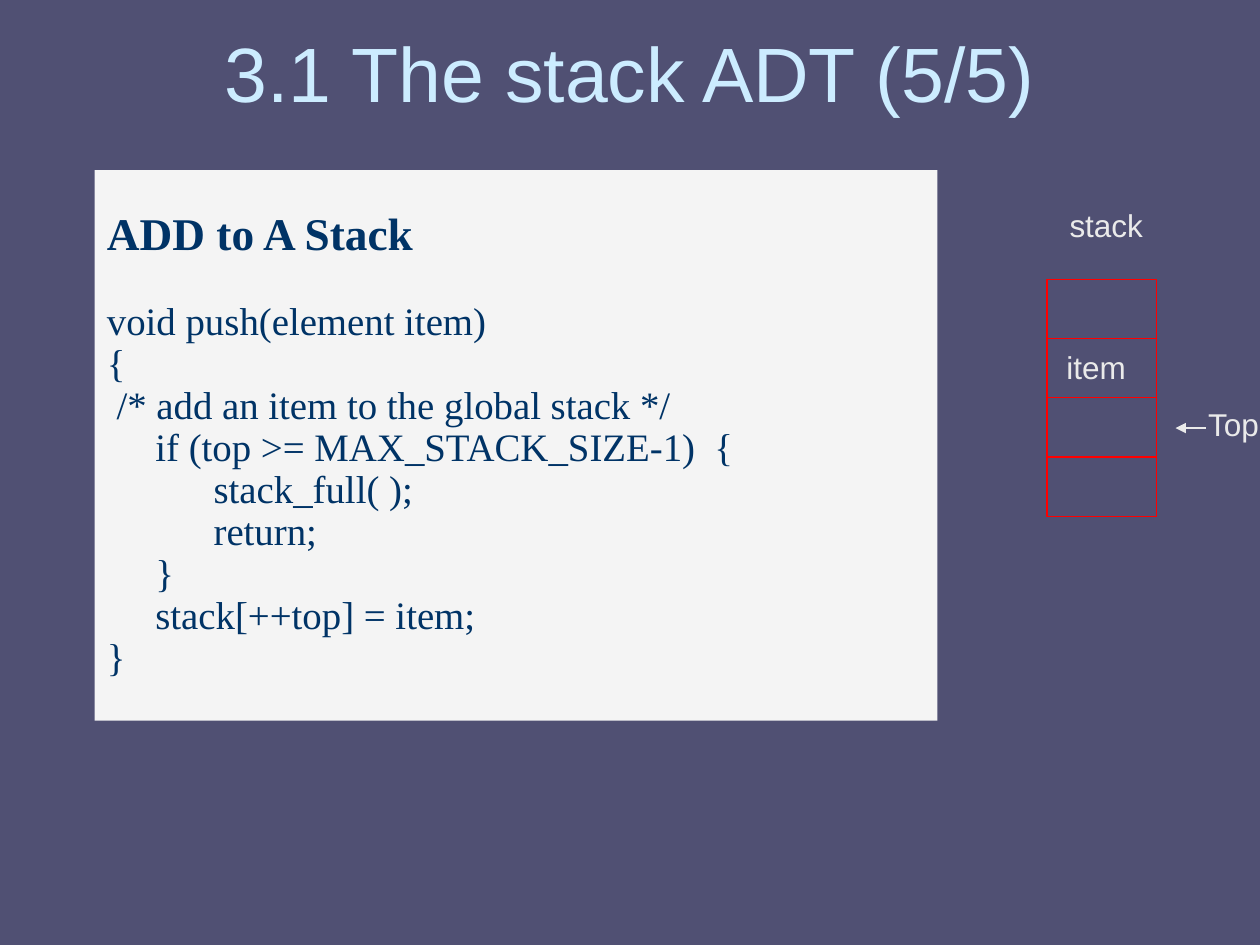
from lxml import etree
from pptx import Presentation, util as u
from pptx.dml.color import RGBColor
from pptx.enum import shapes, text
from pptx.oxml import ns

presentation = Presentation()
presentation.slide_width = u.Inches(10)
presentation.slide_height = u.Inches(7.5)
slide = presentation.slides.add_slide(presentation.slide_layouts[5])
color = RGBColor.from_string


def share(*percents):
    """Turn alternating x and y percentages of the slide into lengths."""
    sides = (presentation.slide_width, presentation.slide_height)
    return [round(sides[i % 2] * percent / 100) for i, percent in enumerate(percents)]


def write(paragraph, words, size=18, hue="EAEAEA", font="Arial", bold=False,
          align=text.PP_ALIGN.LEFT, spacing=1.0, before=0):
    paragraph.text = words
    paragraph.alignment = align
    paragraph.line_spacing = spacing
    paragraph.space_before = u.Pt(before)
    paragraph.font.size = u.Pt(size)
    paragraph.font.name = font
    paragraph.font.bold = bold
    paragraph.font.color.rgb = color(hue)


slide.background.fill.solid()
slide.background.fill.fore_color.rgb = color("505073")

# Code panel
panel = slide.shapes.add_shape(shapes.MSO_SHAPE.RECTANGLE, *share(7.5, 18, 66.9, 58.27))
panel.shadow.inherit = False
panel.fill.solid()
panel.fill.fore_color.rgb = color("F4F4F4")
panel.line.fill.background()
panel.text_frame.vertical_anchor = text.MSO_ANCHOR.MIDDLE
code = """void push(element item)
{
 /* add an item to the global stack */
     if (top >= MAX_STACK_SIZE-1)  {
           stack_full( );
           return;
     }
     stack[++top] = item;
}"""
code_style = dict(hue="003366", font="Times New Roman", spacing=0.9)
write(panel.text_frame.paragraphs[0], "ADD to A Stack", size=25.9, bold=True, **code_style)
write(panel.text_frame.add_paragraph(), code, size=22.2, before=24, **code_style)

# Title
title = slide.shapes.title
title.left, title.top, title.width, title.height = share(5, 1.9, 90, 11.4)
title.text_frame.auto_size = text.MSO_AUTO_SIZE.NONE
title.text_frame.vertical_anchor = text.MSO_ANCHOR.MIDDLE
write(title.text_frame.paragraphs[0], "3.1 The stack ADT (5/5)", size=44, hue="CCECFF",
      align=text.PP_ALIGN.CENTER)

# Stack cells
cell_height = 6.27
for row in range(4):
    cell = slide.shapes.add_shape(shapes.MSO_SHAPE.RECTANGLE,
                                  *share(83.1, 29.55 + row * cell_height, 8.7, cell_height))
    cell.shadow.inherit = False
    cell.fill.background()
    cell.line.color.rgb = color("FF0000")
    cell.line.width = u.Pt(0.75)

# Arrow to the top of the stack
arrow = slide.shapes.add_connector(shapes.MSO_CONNECTOR.STRAIGHT, *share(95.7, 45.3, 93.3, 45.3))
arrow.line.color.rgb = color("EAEAEA")
arrow.line.width = u.Pt(0.75)
etree.SubElement(arrow.line._get_or_add_ln(), ns.qn("a:tailEnd"), type="triangle")
etree.SubElement(arrow._element.spPr, ns.qn("a:effectLst"))

# Labels
for words, left, top, width in [("stack", 83.9, 21.15, 8.4),
                                ("Top", 94.9, 42.2, 6.4),
                                ("item", 83.65, 36.13, 6.8)]:
    label = slide.shapes.add_textbox(*share(left, top, width, 5.33))
    label.text_frame.word_wrap = False
    label.text_frame.auto_size = text.MSO_AUTO_SIZE.SHAPE_TO_FIT_TEXT
    write(label.text_frame.paragraphs[0], words)

presentation.save("out.pptx")
